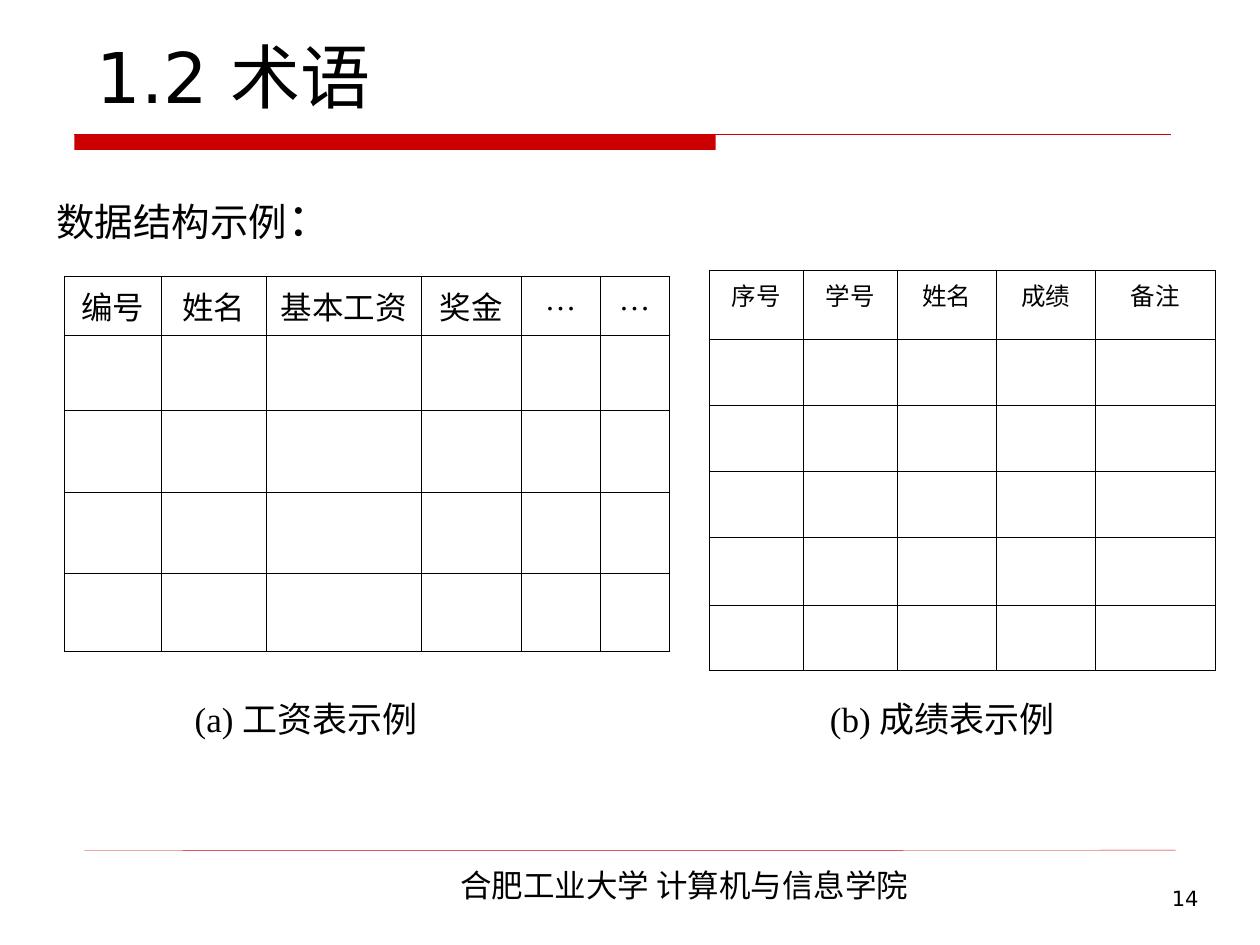
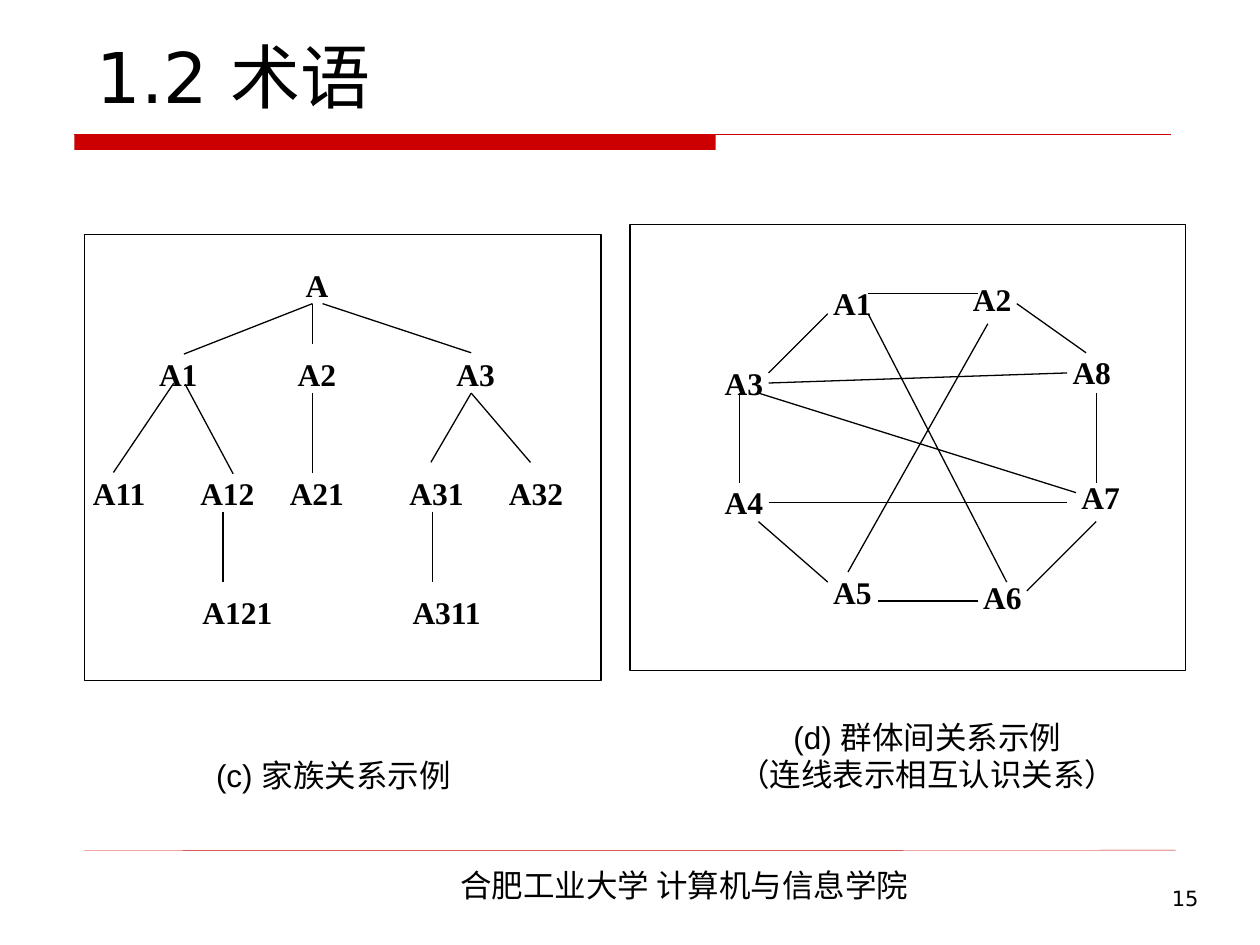
from lxml import etree
from pptx import Presentation
from pptx import util as u
from pptx.dml.color import RGBColor
from pptx.enum import shapes, text
from pptx.oxml.ns import qn

hue = RGBColor.from_string
INK, RED, PAPER = "000000", "CC0000", "FFFFFF"
SANS, SERIF, HAN = "DejaVu Sans", "Times New Roman", "Noto Sans CJK SC"
LEFT, MID, RIGHT = text.PP_ALIGN.LEFT, text.PP_ALIGN.CENTER, text.PP_ALIGN.RIGHT
TOP, HALF, LOW = text.MSO_ANCHOR.TOP, text.MSO_ANCHOR.MIDDLE, text.MSO_ANCHOR.BOTTOM
RECT = shapes.MSO_SHAPE.RECTANGLE

deck = Presentation()
deck.slide_width, deck.slide_height = u.Inches(10), u.Inches(7.5)
UNIT = deck.slide_width // 100


def write(frame, lines, font, align=MID, anchor=TOP, wrap=True, bold=False):
    frame.word_wrap = wrap
    frame.vertical_anchor = anchor
    for i, line in enumerate(lines):
        para = frame.paragraphs[0] if i == 0 else frame.add_paragraph()
        para.alignment = align
        for words, size in line:
            run = para.add_run()
            run.text = words
            run.font.name, run.font.size, run.font.bold = font, u.Pt(size), bold
            run.font.color.rgb = hue(INK)
            east = etree.SubElement(run.font._element, qn("a:ea"))
            east.set("typeface", HAN)


def draw(page, ends, tint=INK, width=0.75):
    line = page.shapes.add_connector(
        shapes.MSO_CONNECTOR.STRAIGHT, *[round(n * UNIT) for n in ends])
    line.line.color.rgb = hue(tint)
    line.line.width = u.Pt(width)
    etree.SubElement(line._element.spPr, qn("a:effectLst"))


pages = []
for number in (14, 15):
    page = deck.slides.add_slide(deck.slide_layouts[6])
    pages.append(page)
    band = page.shapes.add_shape(RECT, *[round(n * UNIT) for n in (5.9, 10.7, 50.9, 1.2)])
    band.shadow.inherit = False
    band.fill.solid()
    band.fill.fore_color.rgb = hue(RED)
    band.line.fill.background()
    draw(page, (5.9, 10.7, 92.9, 10.7), RED)
    draw(page, (6.7, 67.5, 93.3, 67.48), RED, 0.25)
    for box, words, size, font, align, anchor in (
        ((24, 68.25, 60.6, 4), "合肥工业大学 计算机与信息学院", 18, HAN, MID, TOP),
        ((74.4, 69.8, 21.7, 5.2), str(number), 12, SANS, RIGHT, TOP),
        ((6.7, -3.5, 87.5, 13.3), "1.2 术语", 40, SANS, LEFT, LOW),
    ):
        area = page.shapes.add_textbox(*[round(n * UNIT) for n in box])
        write(area.text_frame, [[(words, size)]], font, align, anchor)

forms, graphs = pages

lead = forms.shapes.add_textbox(*[round(n * UNIT) for n in (3.5, 14.7, 94.5, 46.7)])
write(lead.text_frame, [[("数据结构示例", 22), ("：", 26)]], SERIF, LEFT)

for spot, cols, rows, heads, size in (
    ((5.1, 21.95), (7.7, 8.35, 12.3, 7.9, 6.3, 5.45), (4.7, 5.95, 6.5, 6.4, 6.2),
     ("编号", "姓名", "基本工资", "奖金", "…", "…"), 18),
    ((56.3, 21.45), (7.45, 7.45, 7.9, 7.8, 9.6), (5.45, 5.25, 5.25, 5.25, 5.4, 5.2),
     ("序号", "学号", "姓名", "成绩", "备注"), 14),
):
    area = (*spot, sum(cols), sum(rows))
    grid = forms.shapes.add_table(
        len(rows), len(cols), *[round(n * UNIT) for n in area]).table
    grid.first_row = grid.horz_banding = False
    for col, wide in zip(grid.columns, cols):
        col.width = round(wide * UNIT)
    for row, high in zip(grid.rows, rows):
        row.height = round(high * UNIT)
    for cell in grid.iter_cells():
        props = cell._tc.get_or_add_tcPr()
        for side in ("lnL", "lnR", "lnT", "lnB"):
            edge = etree.SubElement(props, qn("a:" + side), w=str(u.Pt(0.45)))
            fill = etree.SubElement(edge, qn("a:solidFill"))
            etree.SubElement(fill, qn("a:srgbClr"), val=INK)
        cell.fill.background()
    for i, head in enumerate(heads):
        write(grid.cell(0, i).text_frame, [[(head, size)]], SERIF)

for box, words in (
    ((10.6, 54.85, 27.4, 3.2), "(a) 工资表示例"),
    ((62.6, 54.85, 24.4, 4.7), "(b) 成绩表示例"),
):
    plate = forms.shapes.add_shape(RECT, *[round(n * UNIT) for n in box])
    plate.shadow.inherit = False
    plate.fill.solid()
    plate.fill.fore_color.rgb = hue(PAPER)
    plate.line.fill.background()
    write(plate.text_frame, [[(words, 20)]], SERIF)

for box in ((6.7, 18.6, 41, 35.4), (50, 17.8, 44.1, 35.4)):
    frame = graphs.shapes.add_shape(RECT, *[round(n * UNIT) for n in box])
    frame.shadow.inherit = False
    frame.fill.background()
    frame.line.color.rgb = hue(INK)
    frame.line.width = u.Pt(0.75)

tree = (
    (22.6, {"A": 25.15}),
    (29.7, {"A1": 14.15, "A2": 25.15, "A3": 37.75}),
    (39.1, {"A11": 9.45, "A12": 18.05, "A21": 25.15, "A31": 34.65, "A32": 42.55}),
    (48.55, {"A121": 18.85, "A311": 35.45}),
)
ring = (
    ("A1", 67.65, 24.05), ("A2", 78.75, 23.75), ("A3", 59.05, 30.35),
    ("A4", 59.05, 39.85), ("A5", 67.65, 46.95), ("A6", 79.55, 47.35),
    ("A7", 87.35, 39.45), ("A8", 86.65, 29.55),
)
nodes = [(name, x, y) for y, level in tree for name, x in level.items()]
labels = [([name], x, y, 5.5 if len(name) > 3 else 3.9, 3.2, SERIF)
          for name, x, y in (*nodes, *ring)]
labels += [
    (["(c) 家族关系示例"], 26.45, 61.5, 21.2, 4, "Arial"),
    (["(d) 群体间关系示例", "（连线表示相互认识关系）"], 73.6, 59.95, 31.5, 5.5, "Arial"),
]
for lines, x, y, wide, high, font in labels:
    box = (x - wide / 2, y - high / 2, wide, high)
    label = graphs.shapes.add_shape(RECT, *[round(n * UNIT) for n in box])
    label.shadow.inherit = False
    label.fill.background()
    label.line.fill.background()
    write(label.text_frame, [[(line, 18)] for line in lines], font, MID, HALF,
          False, font == SERIF)

for ends in (
    (24.8, 24.1, 14.6, 28.1), (24.8, 24.1, 24.8, 27.3), (25.6, 24.1, 37.4, 28),
    (13.8, 30.4, 9, 37.5), (14.7, 30.5, 18.5, 37.6), (24.8, 31.2, 24.8, 37.5),
    (37.4, 31.2, 34.2, 36.7), (37.4, 31.2, 42.1, 36.7),
    (17.7, 40.6, 17.7, 46.2), (34.3, 40.6, 34.3, 46.2),
    (61, 29.6, 65.7, 24.9), (58.7, 31.2, 58.7, 38.3), (60.2, 41.4, 65.7, 46.2),
    (69.7, 47.7, 77.6, 47.7), (81.5, 46.9, 87, 41.4), (87, 31.2, 87, 38.3),
    (80.7, 24.1, 86.2, 28), (68.9, 23.3, 77.6, 23.3), (61, 30.4, 84.7, 29.6),
    (60.2, 31.2, 85.4, 39.1), (61, 39.9, 84.7, 39.9), (68.9, 24.9, 79.9, 46.2),
    (67.3, 45.4, 78.4, 25.7),
):
    draw(graphs, ends)

deck.save("out.pptx")
